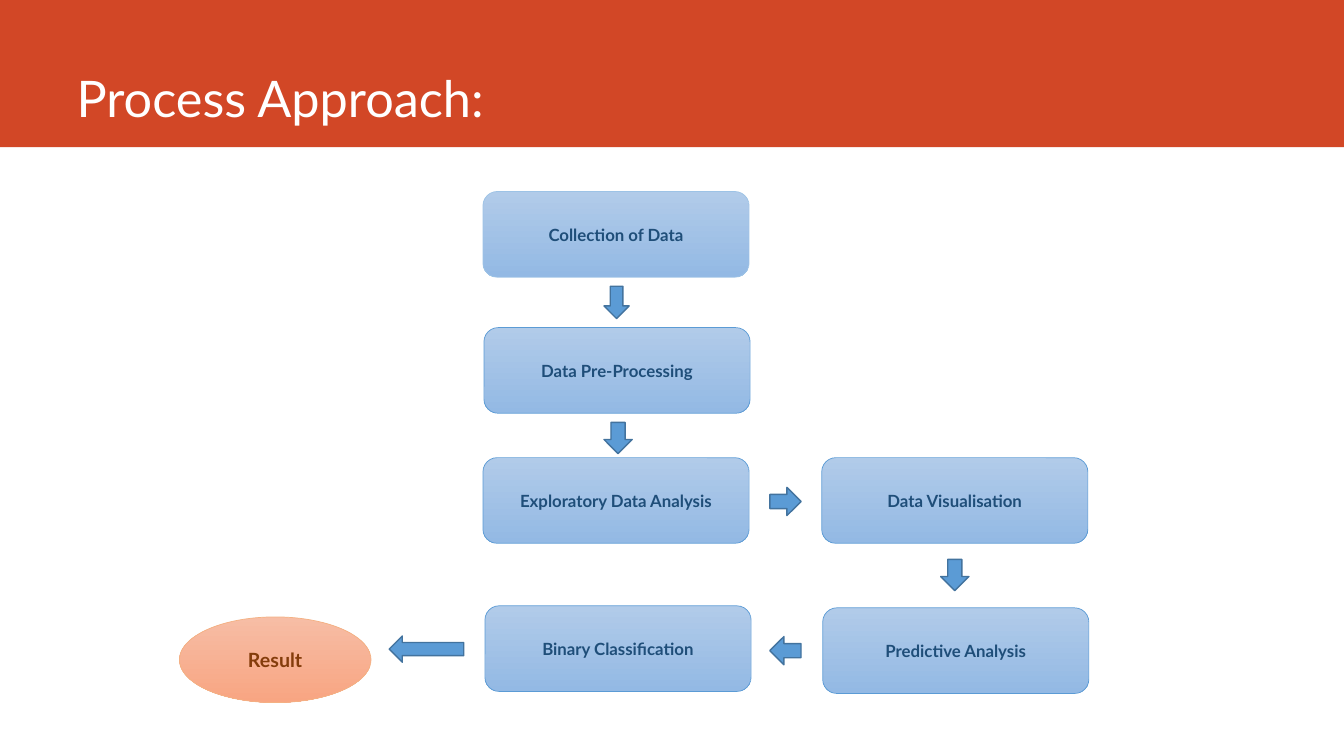
import pptx
import pptx.dml.color
import pptx.enum.shapes
import pptx.enum.text
import pptx.util
from pptx.util import Inches

SHAPES = pptx.enum.shapes.MSO_SHAPE
FONT = "Lato"
COLOURS = {
    "band": "D24726",
    "title": "FFFFFF",
    "step_top": "B1CBE9",
    "step_bottom": "93B9E4",
    "step_line": "5B9BD5",
    "first_line": "9DC3E6",
    "step_text": "1F4E79",
    "result_top": "F7BDA5",
    "result_bottom": "F8A582",
    "result_line": "F4B183",
    "result_text": "843C0B",
    "arrow": "5B9BD5",
    "arrow_line": "43739E",
}
STEP_WIDTH, NODE_HEIGHT = 2.64, 0.85

# label, left, top, line colour
STEPS = [
    ("Collection of Data", 4.79, 1.9, "first_line"),
    ("Data Pre-Processing", 4.8, 3.25, "step_line"),
    ("Exploratory Data Analysis", 4.79, 4.54, "step_line"),
    ("Data Visualisation", 8.15, 4.54, "step_line"),
    ("Predictive Analysis", 8.16, 6.03, "step_line"),
    ("Binary Classification", 4.81, 6.01, "step_line"),
]
# left, top, width, height, rotation
ARROWS = [
    (5.99, 2.84, 0.25, 0.32, 0),
    (5.99, 4.19, 0.28, 0.31, 0),
    (7.65, 4.82, 0.28, 0.31, 270),
    (9.33, 5.55, 0.28, 0.31, 0),
    (7.65, 6.3, 0.28, 0.31, 90),
    (4.1, 6.07, 0.26, 0.74, 90),
]


def colour(name):
    return pptx.dml.color.RGBColor.from_string(COLOURS[name])


def add_preset(page, kind, left, top, width, height):
    shape = page.shapes.add_shape(
        kind, Inches(left), Inches(top), Inches(width), Inches(height))
    shape.shadow.inherit = False
    return shape


def set_line(shape, name, points):
    shape.line.color.rgb = colour(name)
    shape.line.width = pptx.util.Pt(points)


def style_text(para, size, name, bold=False):
    para.font.name = FONT
    para.font.size = pptx.util.Pt(size)
    para.font.bold = bold
    para.font.color.rgb = colour(name)


def add_title(page, text):
    """Fill the title placeholder and lay the coloured band behind it."""
    band = add_preset(page, SHAPES.RECTANGLE, 0, 0, 13.33, 1.46)
    band.fill.solid()
    band.fill.fore_color.rgb = colour("band")
    band.line.fill.background()

    title = page.shapes.title
    title.left, title.top = Inches(0.66), Inches(0)
    title.width, title.height = Inches(11.76), Inches(1.32)
    band._element.addnext(title._element)
    frame = title.text_frame
    frame.text = text
    frame.auto_size = pptx.enum.text.MSO_AUTO_SIZE.NONE
    frame.vertical_anchor = pptx.enum.text.MSO_ANCHOR.BOTTOM
    para = frame.paragraphs[0]
    para.alignment = pptx.enum.text.PP_ALIGN.LEFT
    style_text(para, 36, "title")


def add_node(page, kind, text, left, top, width, theme, line, size):
    """Add a labelled flowchart shape with a top-to-bottom gradient."""
    node = add_preset(page, kind, left, top, width, NODE_HEIGHT)
    node.fill.gradient()
    node.fill.gradient_angle = 270
    for stop, end in zip(node.fill.gradient_stops, ("top", "bottom")):
        stop.color.rgb = colour(f"{theme}_{end}")
    set_line(node, line, 0.5)
    frame = node.text_frame
    frame.text = text
    frame.vertical_anchor = pptx.enum.text.MSO_ANCHOR.MIDDLE
    para = frame.paragraphs[0]
    para.alignment = pptx.enum.text.PP_ALIGN.CENTER
    style_text(para, size, f"{theme}_text", bold=True)


def add_arrow(page, left, top, width, height, rotation):
    arrow = add_preset(page, SHAPES.DOWN_ARROW, left, top, width, height)
    arrow.rotation = rotation
    arrow.fill.solid()
    arrow.fill.fore_color.rgb = colour("arrow")
    set_line(arrow, "arrow_line", 1)


def main():
    deck = pptx.Presentation()
    deck.slide_width, deck.slide_height = Inches(13.33), Inches(7.5)
    page = deck.slides.add_slide(deck.slide_layouts.get_by_name("Title Only"))
    add_title(page, "Process Approach:")
    for text, left, top, line in STEPS:
        add_node(page, SHAPES.ROUNDED_RECTANGLE, text, left, top,
                 STEP_WIDTH, "step", line, 12)
    for arrow in ARROWS:
        add_arrow(page, *arrow)
    add_node(page, SHAPES.OVAL, "Result", 1.78, 6.12, 1.9,
             "result", "result_line", 14)
    deck.save("out.pptx")


if __name__ == "__main__":
    main()
